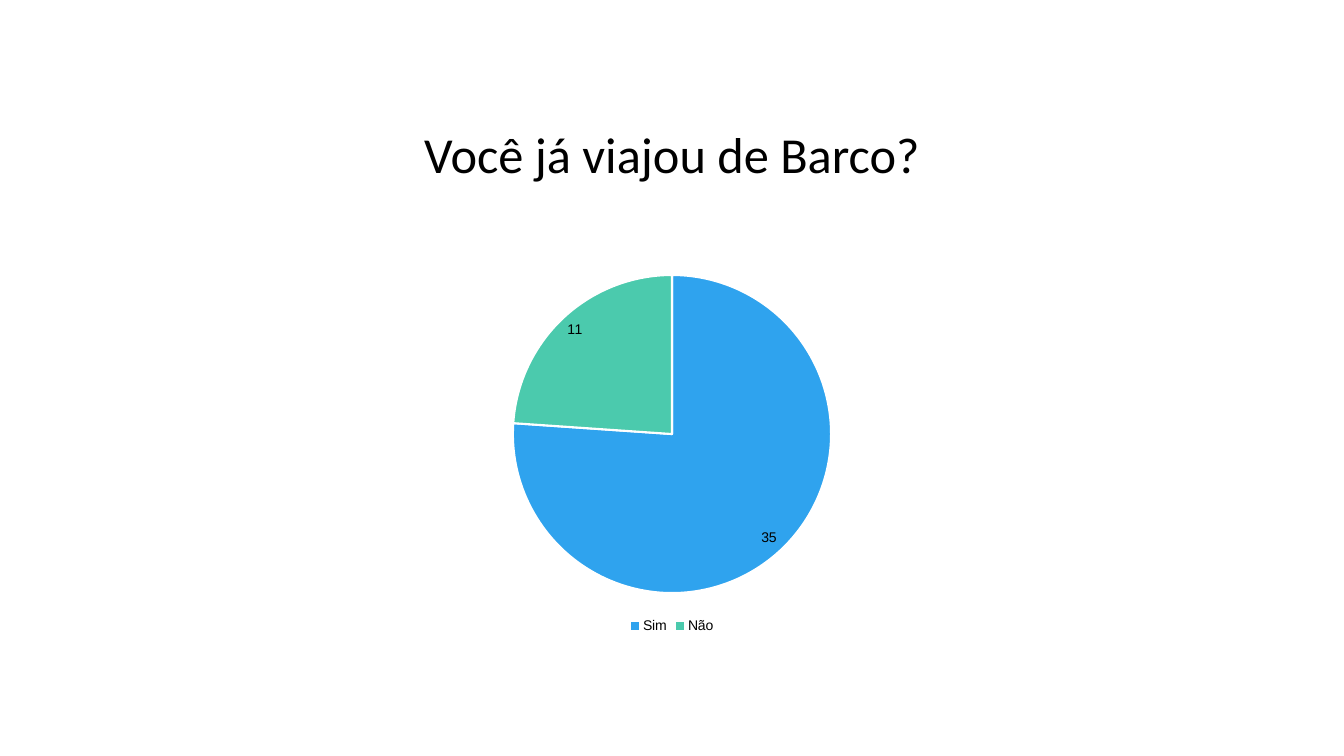
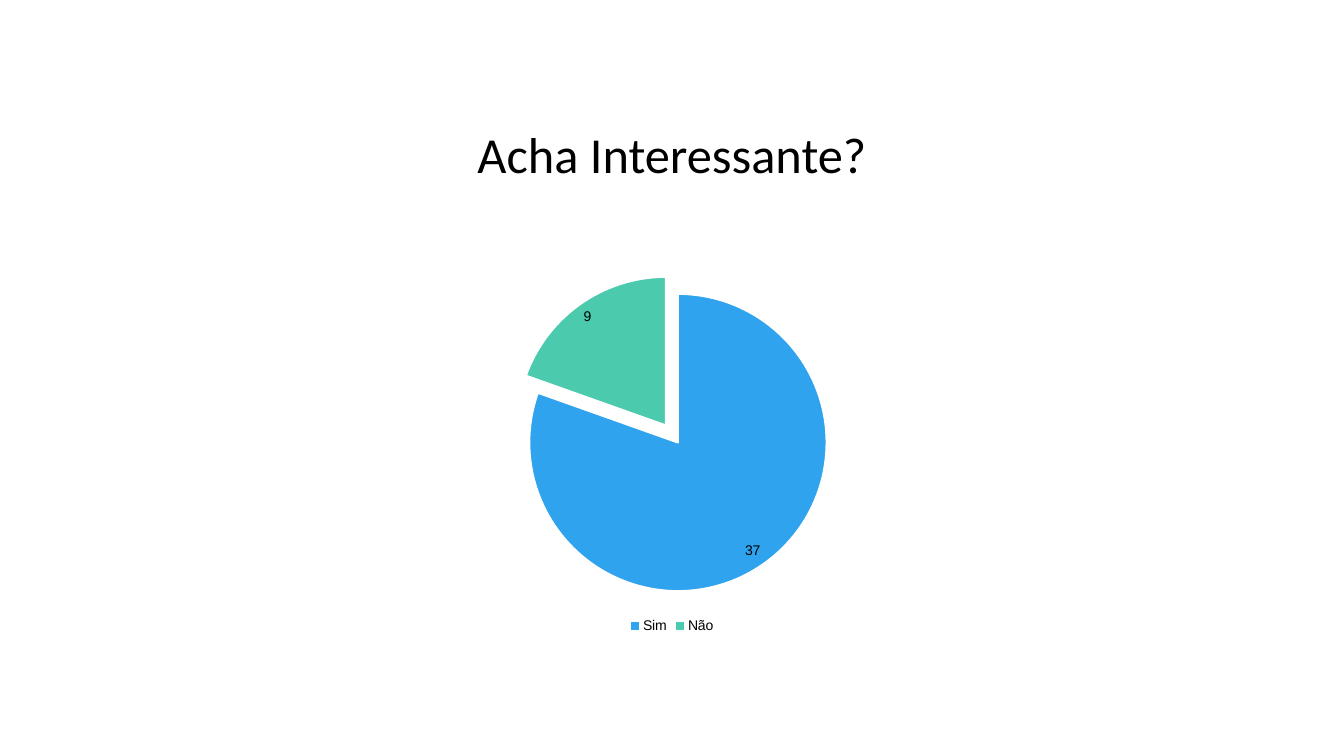
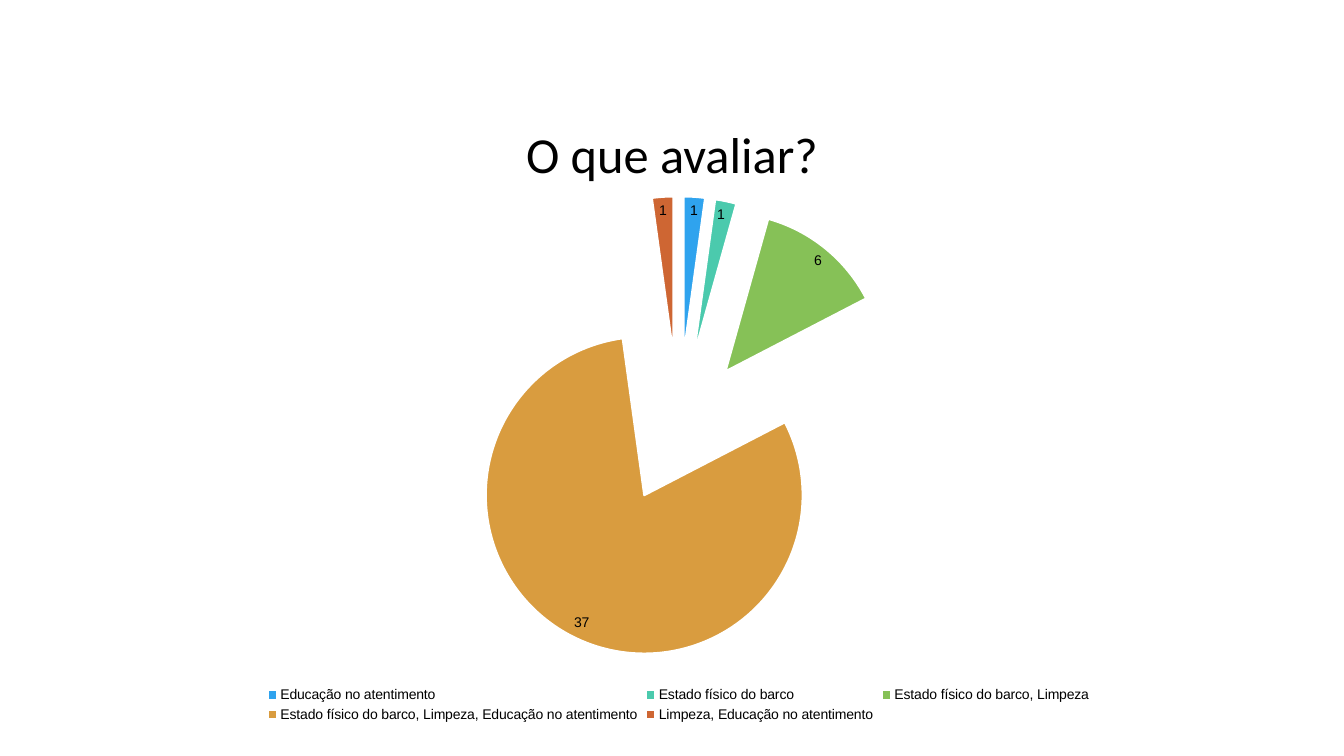
from lxml import etree
from pptx import Presentation
from pptx.chart.data import CategoryChartData
from pptx.dml.color import RGBColor
from pptx.enum.chart import XL_CHART_TYPE, XL_LABEL_POSITION, XL_LEGEND_POSITION
from pptx.enum.text import MSO_ANCHOR, PP_ALIGN
from pptx.oxml.ns import qn
from pptx.util import Inches, Pt

PIE = XL_CHART_TYPE.PIE
INSIDE_END = XL_LABEL_POSITION.INSIDE_END
BOTTOM = XL_LEGEND_POSITION.BOTTOM
MIDDLE = MSO_ANCHOR.MIDDLE
CENTER = PP_ALIGN.CENTER

TITLE_ONLY = 5
BLACK, WHITE = "000000", "FFFFFF"
PALETTE = ["2FA3EE", "4BCAAD", "86C157", "D99C3F", "CE6633"]
TITLE_BOX = (1, 0.68, 11.33, 1.75)
CHART_BOX = (1, 2.59, 11.33, 3.74)
TALL_BOX = (1, 1.81, 11.46, 5.4)

YES_NO = ["Sim", "Não"]
ASPECTS = [
    "Educação no atentimento",
    "Estado físico do barco",
    "Estado físico do barco, Limpeza",
    "Estado físico do barco, Limpeza, Educação no atentimento",
    "Limpeza, Educação no atentimento",
]
# title, categories, values, chart box, explosion in percent of the radius
POLLS = [
    ("Você já viajou de Barco?", YES_NO, [35, 11], CHART_BOX, 0),
    ("Acha Interessante?", YES_NO, [37, 9], CHART_BOX, 7),
    ("O que avaliar?", ASPECTS, [1, 1, 6, 37, 1], TALL_BOX, 47),
]


def color(code):
    return RGBColor.from_string(code)


def set_font(font, name, size):
    font.name = name
    font.size = Pt(size)
    font.color.rgb = color(BLACK)


def add_title(slide, text):
    title = slide.shapes.title
    title.left, title.top, title.width, title.height = map(Inches, TITLE_BOX)
    frame = title.text_frame
    frame.word_wrap = True
    frame.vertical_anchor = MIDDLE
    para = frame.paragraphs[0]
    para.alignment = CENTER
    para.line_spacing = 0.9
    run = para.add_run()
    run.text = text
    set_font(run.font, "Calibri", 36)


def explode(series, percent):
    """Pull all slices out; the element must stand before the points."""
    node = etree.Element(qn("c:explosion"), val=str(percent))
    series._element.find(qn("c:dPt")).addprevious(node)


def add_pie(slide, cats, values, box, percent):
    data = CategoryChartData()
    data.categories = cats
    data.add_series("Series 1", values)
    chart = slide.shapes.add_chart(PIE, *map(Inches, box), data).chart
    chart.has_title = False
    set_font(chart.font, "Arial", 10)
    chart.has_legend = True
    chart.legend.position = BOTTOM
    chart.legend.include_in_layout = False

    plot = chart.plots[0]
    plot.vary_by_categories = True
    series = plot.series[0]
    for i in range(len(values)):
        style = series.points[i].format
        style.fill.solid()
        style.fill.fore_color.rgb = color(PALETTE[i])
        style.line.color.rgb = color(WHITE)
        style.line.width = Pt(1.5)
    if percent:
        explode(series, percent)

    labels = series.data_labels
    labels.show_value = True
    labels.position = INSIDE_END


def main():
    deck = Presentation()
    deck.slide_width, deck.slide_height = Inches(13.33), Inches(7.5)
    for title, cats, values, box, percent in POLLS:
        slide = deck.slides.add_slide(deck.slide_layouts[TITLE_ONLY])
        add_title(slide, title)
        add_pie(slide, cats, values, box, percent)
    deck.save("out.pptx")


if __name__ == "__main__":
    main()
